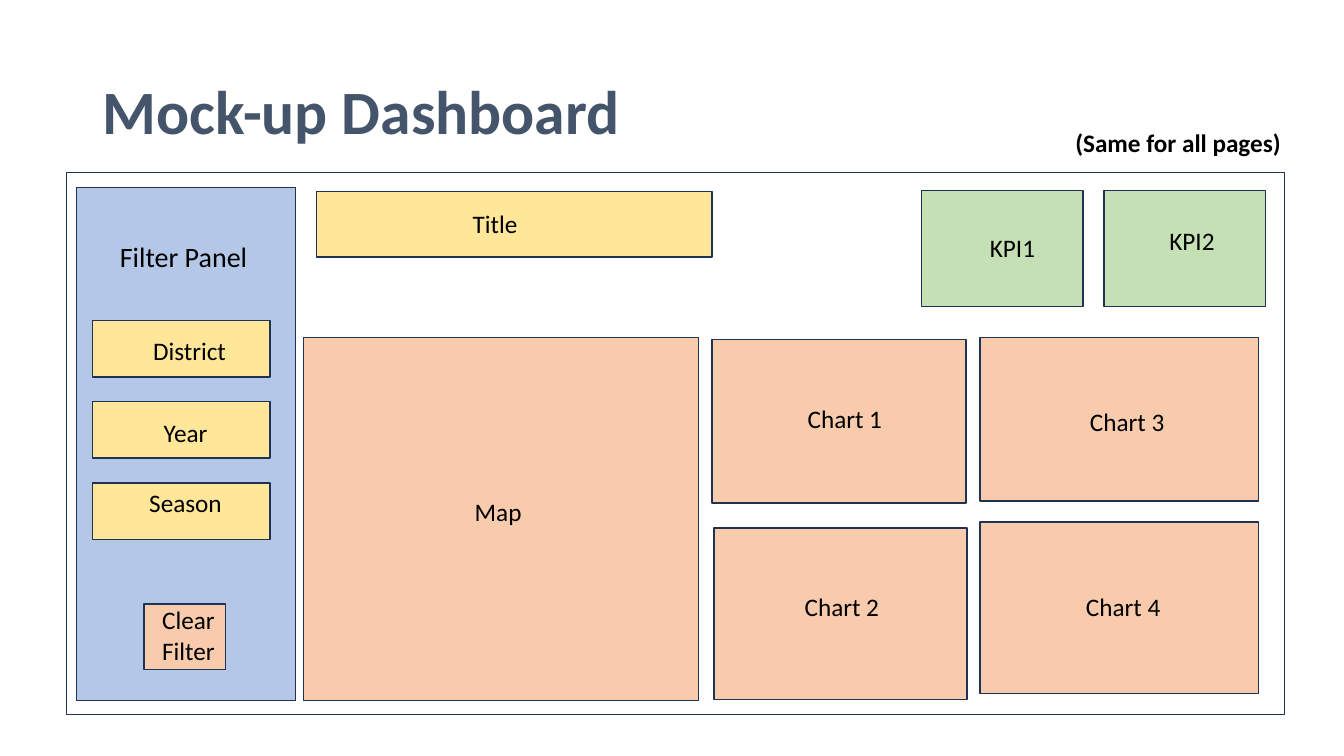
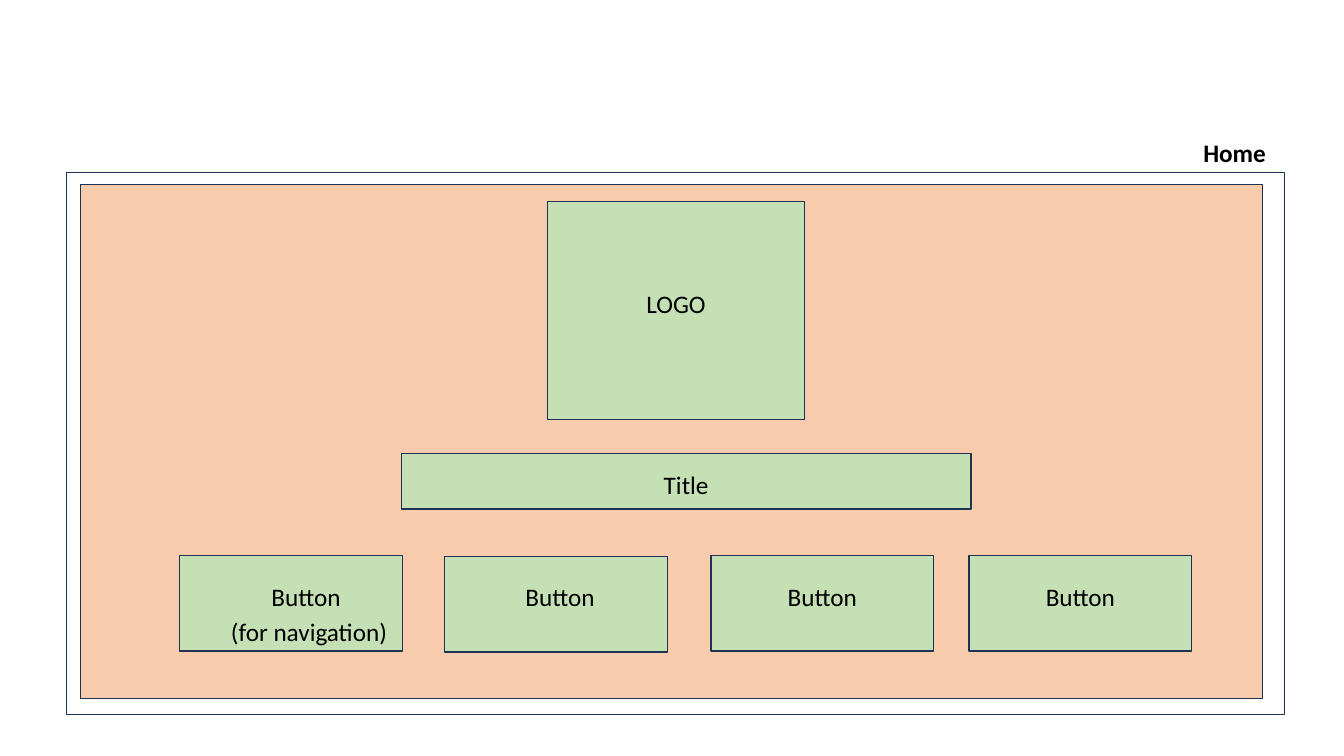
from dataclasses import dataclass

from pptx import Presentation
from pptx.dml.color import RGBColor
from pptx.enum.shapes import MSO_SHAPE
from pptx.enum.text import MSO_ANCHOR, MSO_AUTO_SIZE, PP_ALIGN
from pptx.slide import Slide
from pptx.text.text import TextFrame
from pptx.util import Inches, Pt

RECT = MSO_SHAPE.RECTANGLE
LEFT, CENTER = PP_ALIGN.LEFT, PP_ALIGN.CENTER
MIDDLE = MSO_ANCHOR.MIDDLE
GROW = MSO_AUTO_SIZE.SHAPE_TO_FIT_TEXT
TITLE_ONLY, BLANK = 5, 6

FONT = "Calibri"
COLORS = {
    "title": "44546A",
    "text": "000000",
    "line": "1E3256",
    "blue": "B4C7E7",
    "peach": "F8CBAD",
    "green": "C5E0B4",
    "yellow": "FFE699",
}


@dataclass(frozen=True)
class Box:
    left: float
    top: float
    width: float
    height: float
    fill: str = ""


@dataclass(frozen=True)
class Label:
    text: str
    left: float
    top: float
    width: float
    height: float = 0.4
    size: int = 18
    bold: bool = False
    align: PP_ALIGN = CENTER


FRAME = Box(0.66, 1.71, 12.08, 5.38)

PANELS = [
    Box(0.76, 1.86, 2.17, 5.09, "blue"),
    Box(1.43, 5.99, 0.81, 0.65, "peach"),
    Box(3.14, 1.9, 3.92, 0.65, "yellow"),
    Box(3.01, 3.35, 3.92, 3.6, "peach"),
    Box(7.06, 3.37, 2.52, 1.62, "peach"),
    Box(7.08, 5.24, 2.51, 1.7, "peach"),
    Box(9.72, 3.35, 2.76, 1.62, "peach"),
    Box(9.72, 5.18, 2.76, 1.7, "peach"),
    *[Box(left, 1.89, 1.6, 1.15, "green") for left in (9.14, 10.95)],
    *[Box(0.92, 3.18 + 0.805 * row, 1.76, 0.56, "yellow") for row in range(3)],
]

CAPTIONS = [
    Label("(Same for all pages)", 10.38, 1.21, 2.61, bold=True),
    Label("Filter Panel", 1.09, 2.33, 1.58, 0.44, size=20, align=LEFT),
    Label("Clear Filter", 1.51, 5.95, 0.81, 0.71, align=LEFT),
    *[Label(text, left, top, 0.74, align=LEFT) for text, left, top in (
        ("Title", 4.59, 2.02), ("Map", 4.61, 4.87),
        ("KPI1", 9.72, 2.26), ("KPI2", 11.5, 2.19))],
    *[Label(text, left, top, 1.1) for text, left, top in (
        ("District", 1.33, 3.28), ("Year", 1.29, 4.09), ("Season", 1.29, 4.79),
        ("Chart 1", 7.83, 3.95), ("Chart 2", 7.8, 5.82),
        ("Chart 3", 10.63, 3.98), ("Chart 4", 10.59, 5.82))],
]

HOME_BOXES = [
    Box(0.8, 1.83, 11.72, 5.1, "peach"),
    Box(5.43, 2, 2.55, 2.16, "green"),
    Box(3.98, 4.5, 5.65, 0.55, "green"),
    *[Box(left, top, 2.21, 0.95, "green") for left, top in (
        (1.78, 5.51), (4.41, 5.52), (7.05, 5.51), (9.61, 5.51))],
]

HOME_LABELS = [
    Label("Home", 10.94, 1.31, 2.61, bold=True),
    Label("LOGO", 5.98, 2.81, 1.45),
    Label("Title", 6.08, 4.61, 1.45),
    Label("(for navigation)", 2.14, 6.07, 1.85),
    *[Label("Button", left, 5.72, 1.59) for left in (2.24, 4.76, 7.36, 9.92)],
]


def rgb(name: str) -> RGBColor:
    return RGBColor.from_string(COLORS[name])


def write(frame: TextFrame, text: str, *, size: int = 18, bold: bool = False,
          color: str = "text", align: PP_ALIGN = LEFT, space: float = 1.0) -> None:
    frame.word_wrap = True
    para = frame.paragraphs[0]
    para.alignment = align
    para.line_spacing = space
    run = para.add_run()
    run.text = text
    run.font.name = FONT
    run.font.size = Pt(size)
    run.font.bold = bold
    run.font.color.rgb = rgb(color)


def draw_box(slide: Slide, box: Box) -> None:
    shape = slide.shapes.add_shape(RECT, Inches(box.left), Inches(box.top),
                                   Inches(box.width), Inches(box.height))
    shape.shadow.inherit = False
    if box.fill:
        shape.fill.solid()
        shape.fill.fore_color.rgb = rgb(box.fill)
    else:
        shape.fill.background()
    shape.line.color.rgb = rgb("line")
    shape.line.width = Pt(1)


def draw_label(slide: Slide, label: Label) -> None:
    area = slide.shapes.add_textbox(Inches(label.left), Inches(label.top),
                                    Inches(label.width), Inches(label.height))
    write(area.text_frame, label.text, size=label.size, bold=label.bold,
          align=label.align)
    area.text_frame.auto_size = GROW


def draw_page(slide: Slide, boxes: list[Box], labels: list[Label]) -> None:
    """Draw the shared page frame, then its boxes and their labels."""
    for box in [FRAME, *boxes]:
        draw_box(slide, box)
    for label in labels:
        draw_label(slide, label)


def set_title(slide: Slide, text: str) -> None:
    title = slide.shapes.title
    title.left, title.top = Inches(0.92), Inches(0.41)
    title.width, title.height = Inches(11.5), Inches(1.45)
    title.text_frame.vertical_anchor = MIDDLE
    write(title.text_frame, text, size=44, bold=True, color="title", space=0.9)


def main() -> None:
    deck = Presentation()
    deck.slide_width, deck.slide_height = Inches(13.33), Inches(7.5)

    board = deck.slides.add_slide(deck.slide_layouts[TITLE_ONLY])
    set_title(board, "Mock-up Dashboard")
    draw_page(board, PANELS, CAPTIONS)

    home = deck.slides.add_slide(deck.slide_layouts[BLANK])
    draw_page(home, HOME_BOXES, HOME_LABELS)

    deck.save("out.pptx")


if __name__ == "__main__":
    main()
